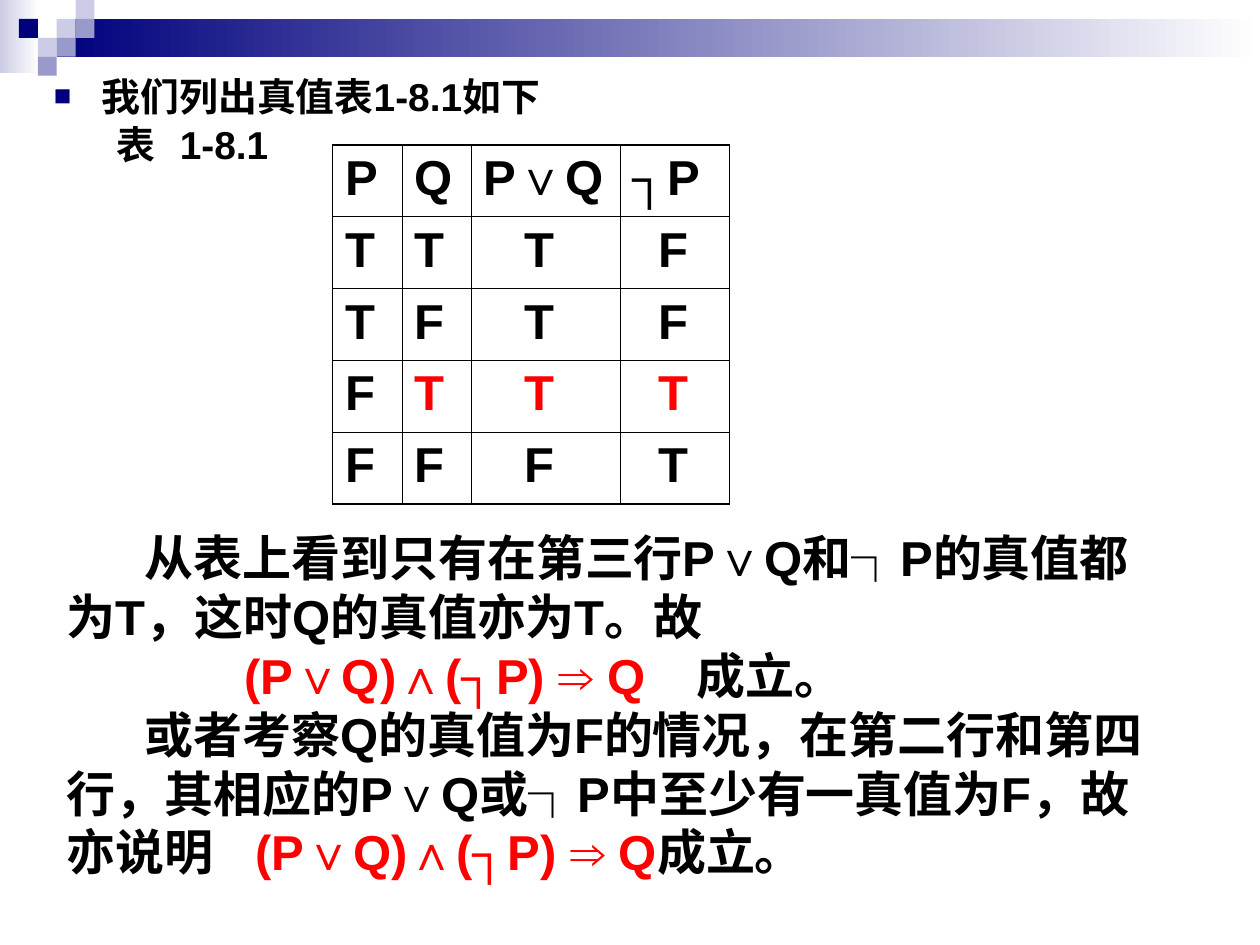
import pptx
import pptx.dml.color
import pptx.enum.shapes
import pptx.oxml
import pptx.oxml.ns
import pptx.util
from lxml import etree

Inches = pptx.util.Inches
Pt = pptx.util.Pt
RGBColor = pptx.dml.color.RGBColor
qn = pptx.oxml.ns.qn

NAVY = RGBColor(0x00, 0x00, 0x7D)
PERIWINKLE = RGBColor(0x99, 0x99, 0xCC)
LAVENDER = RGBColor(0xCC, 0xCC, 0xE6)
WHITE = RGBColor(0xFF, 0xFF, 0xFF)
BLACK = RGBColor(0x00, 0x00, 0x00)
RED = RGBColor(0xFF, 0x00, 0x00)

FORMULA = "(P∨Q)∧(┐P) ⇒ Q"


def add_text(paragraph, text, size=28, color=BLACK, font="Arial", bold=True):
    run = paragraph.add_run()
    run.text = text
    run.font.size = Pt(size)
    run.font.name = font
    run.font.bold = bold
    run.font.color.rgb = color


def set_indent(paragraph, first=0, left=0, bullet=None, tab=None):
    props = paragraph._p.get_or_add_pPr()
    props.set("marL", str(Inches(left)))
    props.set("indent", str(Inches(first)))
    if bullet:
        color = etree.SubElement(props, qn("a:buClr"))
        etree.SubElement(color, qn("a:srgbClr"), val=str(NAVY))
        etree.SubElement(props, qn("a:buSzPct"), val="75000")
        etree.SubElement(props, qn("a:buFont"), typeface="Arial")
        etree.SubElement(props, qn("a:buChar"), char=bullet)
    else:
        etree.SubElement(props, qn("a:buNone"))
    if tab:
        stops = etree.SubElement(props, qn("a:tabLst"))
        etree.SubElement(stops, qn("a:tab"), pos=str(Inches(tab)), algn="l")


class SlideBuilder:
    outer_line = 1.08
    inner_line = 0.45

    def __init__(self, slide):
        self.slide = slide

    def rectangle(self, left, top, width, height, color, fade_to=None):
        shape = self.slide.shapes.add_shape(
            pptx.enum.shapes.MSO_SHAPE.RECTANGLE,
            Inches(left), Inches(top), Inches(width), Inches(height))
        shape.shadow.inherit = False
        shape.line.fill.background()
        if fade_to is None:
            shape.fill.solid()
            shape.fill.fore_color.rgb = color
        else:
            shape.fill.gradient()
            shape.fill.gradient_angle = 0
            for stop, stop_color, position in zip(
                    shape.fill.gradient_stops, (color, fade_to), (0, 1)):
                stop.color.rgb = stop_color
                stop.position = position

    def text_box(self, left, top, width, height):
        frame = self.slide.shapes.add_textbox(
            Inches(left), Inches(top), Inches(width), Inches(height)).text_frame
        frame.word_wrap = True
        return frame

    def table(self, left, top, widths, row_height, rows, indents, red_cells):
        table = self.slide.shapes.add_table(
            len(rows), len(widths), Inches(left), Inches(top),
            Inches(sum(widths)), Inches(row_height * len(rows))).table
        table.first_row = table.horz_banding = False
        for column, width in zip(table.columns, widths):
            column.width = Inches(width)
        for r, values in enumerate(rows):
            table.rows[r].height = Inches(row_height)
            for c, value in enumerate(values):
                cell = table.cell(r, c)
                edges = {"L": c == 0, "R": c == len(widths) - 1,
                         "T": r == 0, "B": r == len(rows) - 1}
                self.borders(cell, edges)
                cell.fill.background()
                paragraph = cell.text_frame.paragraphs[0]
                paragraph.space_before = Pt(7)
                set_indent(paragraph, indents[c] if r else 0)
                add_text(paragraph, value,
                         color=RED if (r, c) in red_cells else BLACK)

    def borders(self, cell, edges):
        props = cell._tc.get_or_add_tcPr()
        for side, is_outer in edges.items():
            width = self.outer_line if is_outer else self.inner_line
            line = etree.SubElement(props, qn("a:ln" + side), w=str(Pt(width)))
            fill = etree.SubElement(line, qn("a:solidFill"))
            etree.SubElement(fill, qn("a:srgbClr"), val=str(BLACK))


def main():
    presentation = pptx.Presentation()
    presentation.slide_width = Inches(10)
    presentation.slide_height = Inches(7.5)
    builder = SlideBuilder(
        presentation.slides.add_slide(presentation.slide_layouts[6]))

    # Header bands and the mosaic of squares, placed on a grid
    builder.rectangle(0, 0, 0.31, 0.58, LAVENDER, fade_to=WHITE)
    builder.rectangle(0.45, 0.15, 9.55, 0.3, NAVY, fade_to=WHITE)
    square = 0.15
    mosaic = [(3, 1, LAVENDER), (4, 0, LAVENDER), (4, 1, PERIWINKLE),
              (2, 2, LAVENDER), (1, 1, NAVY), (3, 2, PERIWINKLE),
              (2, 3, PERIWINKLE)]
    for column, row, color in mosaic:
        builder.rectangle(column * square, row * square, square, square, color)

    # Introduction and table caption
    intro = builder.text_box(0.33, 0.6, 5.77, 0.79)
    lead, caption = intro.paragraphs[0], intro.add_paragraph()
    for paragraph in (lead, caption):
        paragraph.line_spacing = 0.8
        paragraph.space_before = Pt(6)
    set_indent(lead, first=-0.38, left=0.38, bullet="■")
    add_text(lead, "我们列出真值表1-8.1如下", size=22.2)
    set_indent(caption, first=0.5, tab=1.02)
    add_text(caption, "表\t1-8.1", size=22.2)

    # Truth table
    truth_rows = [("P", "Q", "P∨Q", "┐P"), "TTTF", "TFTF", "FTTT", "FFFT"]
    builder.table(2.64, 1.15, (0.55, 0.55, 1.18, 0.87), 0.57, truth_rows,
                  indents=(0, 0, 0.32, 0.21),
                  red_cells={(3, 1), (3, 2), (3, 3)})

    # Conclusion: first-line indent, tab stop and coloured runs by paragraph
    conclusion = [
        (0.62, None, [
            ("从表上看到只有在第三行P∨Q和┐P的真值都为T，这时Q的真值亦为T。故", BLACK)]),
        (1.41, 5.22, [(FORMULA, RED), ("\t成立。", BLACK)]),
        (0.62, 2.55, [
            ("或者考察Q的真值为F的情况，在第二行和第四行，其相应的P∨Q或┐P中"
             "至少有一真值为F，故亦说明\t", BLACK),
            (FORMULA, RED), ("成立。", BLACK)]),
    ]
    frame = builder.text_box(0.43, 4.14, 8.82, 2.9)
    for index, (first, tab, runs) in enumerate(conclusion):
        paragraph = frame.add_paragraph() if index else frame.paragraphs[0]
        set_indent(paragraph, first=first, tab=tab)
        for text, color in runs:
            add_text(paragraph, text, color=color)

    presentation.save("out.pptx")


if __name__ == "__main__":
    main()
